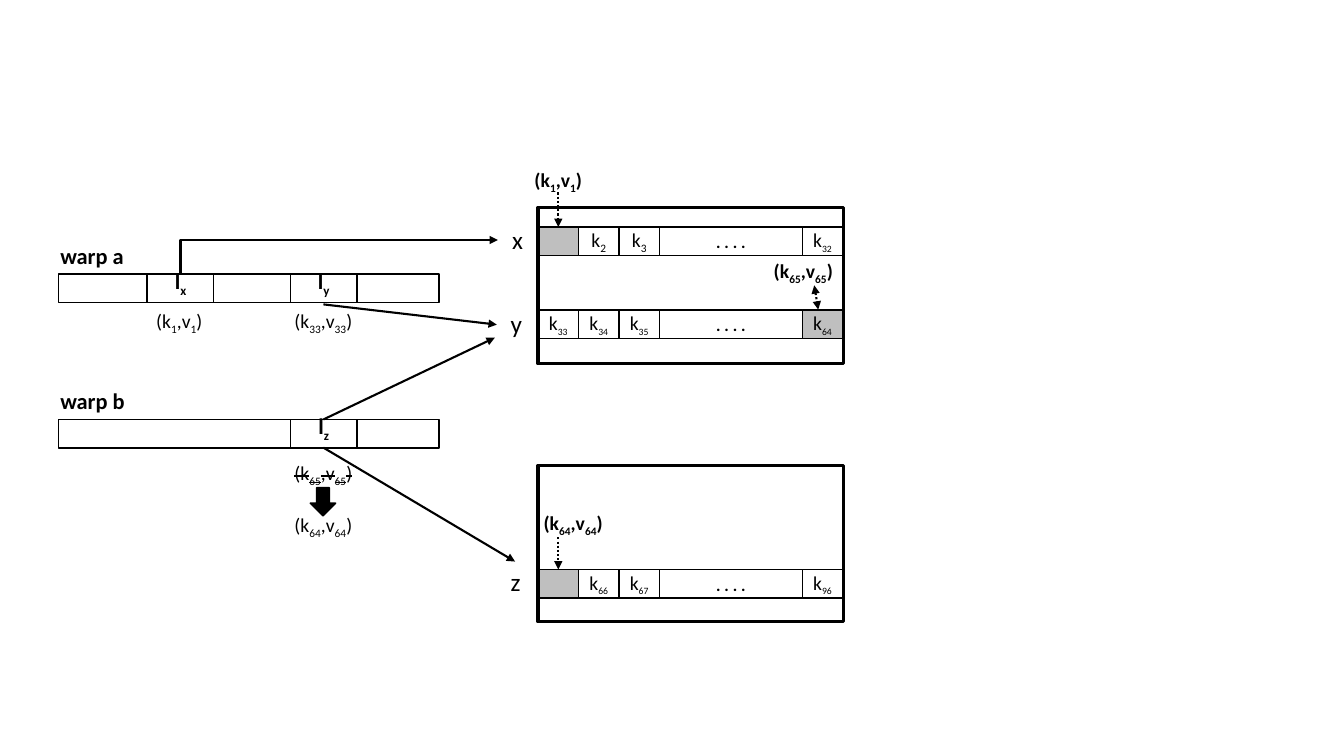
from dataclasses import dataclass

from lxml.etree import SubElement
from pptx import Presentation
from pptx.dml.color import RGBColor
from pptx.enum.dml import MSO_LINE
from pptx.enum.shapes import MSO_CONNECTOR, MSO_SHAPE
from pptx.enum.text import MSO_ANCHOR, PP_ALIGN
from pptx.oxml.ns import qn
from pptx.util import Cm, Pt


@dataclass(frozen=True)
class Theme:
    font: str = "Calibri"
    ink: RGBColor = RGBColor(0x00, 0x00, 0x00)
    paper: RGBColor = RGBColor(0xFF, 0xFF, 0xFF)
    marked: RGBColor = RGBColor(0xBF, 0xBF, 0xBF)
    index: int = 12
    key: int = 14
    lane: int = 16
    address: int = 18
    thin: float = 1
    arrow: float = 1.5
    frame: float = 2.25


def write(frame, theme, text, *, size=14, sub_size=None, bold=False, strike=False,
          align=PP_ALIGN.CENTER, anchor=MSO_ANCHOR.TOP, wrap=True):
    """Write one line of text; parts between underscores become subscripts."""
    frame.word_wrap = wrap
    frame.vertical_anchor = anchor
    paragraph = frame.paragraphs[0]
    paragraph.alignment = align
    for position, part in enumerate(text.split("_")):
        if not part:
            continue
        is_index = position % 2 == 1
        run = paragraph.add_run()
        run.text = part
        run.font.name = theme.font
        run.font.size = Pt(sub_size if is_index and sub_size else size)
        run.font.bold = bold
        run.font.color.rgb = theme.ink
        properties = run._r.get_or_add_rPr()
        if is_index:
            properties.set("baseline", "-25000")
        if strike:
            properties.set("strike", "sngStrike")


class Diagram:
    ROW = 0.72       # height of every row of cells
    CELL = 1.02      # width of a key cell
    BUCKET = 13.56   # left edge of the buckets
    LAST = 20.22     # left edge of the last key cell
    WARP = 1.47      # left edge of the warps
    LANE = 1.68      # width of a lane

    def __init__(self, slide, theme):
        self.slide, self.theme = slide, theme

    def box(self, x, y, width, height, text="", *, fill=None, line=None,
            kind=MSO_SHAPE.RECTANGLE, **style):
        shape = self.slide.shapes.add_shape(kind, Cm(x), Cm(y), Cm(width), Cm(height))
        shape.shadow.inherit = False
        if fill is None:
            shape.fill.background()
        else:
            shape.fill.solid()
            shape.fill.fore_color.rgb = fill
        if line is None:
            shape.line.fill.background()
        else:
            shape.line.color.rgb = self.theme.ink
            shape.line.width = Pt(line)
        if text:
            shape.text_frame.margin_left = shape.text_frame.margin_right = 0
            write(shape.text_frame, self.theme, text, wrap=False, **style)

    def label(self, x, y, width, height, text, **style):
        box = self.slide.shapes.add_textbox(Cm(x), Cm(y), Cm(width), Cm(height))
        write(box.text_frame, self.theme, text, **style)

    def pair(self, x, y, text, **style):
        self.box(x, y, 2.08, self.ROW, text, fill=self.theme.paper,
                 size=self.theme.key, **style)

    def key_row(self, y, indices, marked):
        theme = self.theme
        lefts = [self.BUCKET + self.CELL * i for i in range(3)] + [self.LAST]
        for column, (left, index) in enumerate(zip(lefts, indices)):
            self.box(left, y, self.CELL, self.ROW, f"k_{index}_" if index else "",
                     fill=theme.marked if column == marked else theme.paper,
                     line=theme.thin, size=theme.key, anchor=MSO_ANCHOR.MIDDLE,
                     sub_size=theme.index if len(index) > 1 else theme.key)
        gap = self.BUCKET + 3 * self.CELL
        self.box(gap, y, self.LAST - gap, self.ROW, ". . . .", fill=theme.paper,
                 line=theme.thin, size=theme.index, bold=True)

    def bucket(self, y):
        self.box(self.BUCKET, y, 7.7, 3.94, line=self.theme.frame)

    def warp(self, y, name, lanes):
        theme = self.theme
        for left, index in lanes:
            self.box(left, y, self.LANE, self.ROW, f"l_{index}_", fill=theme.paper,
                     line=theme.thin, size=theme.lane, bold=True,
                     anchor=MSO_ANCHOR.BOTTOM)
        self.box(self.WARP, y, 9.6, self.ROW, line=theme.thin)
        self.label(self.WARP - 0.2, y - 0.93, 3.1, 0.94, name, size=theme.lane,
                   bold=True, align=PP_ALIGN.LEFT)

    def arrow(self, start, end, *, dotted=False, both=False, kind=MSO_CONNECTOR.STRAIGHT):
        connector = self.slide.shapes.add_connector(
            kind, *(Cm(value) for value in (*start, *end)))
        connector.line.color.rgb = self.theme.ink
        connector.line.width = Pt(self.theme.arrow)
        if dotted:
            connector.line.dash_style = MSO_LINE.ROUND_DOT
        outline = connector.line._get_or_add_ln()
        for tag in (["a:headEnd"] if both else []) + ["a:tailEnd"]:
            SubElement(outline, qn(tag), type="triangle")
        SubElement(connector._element.spPr, qn("a:effectLst"))
        return connector

    def corner_arrow(self, start, end):
        """Go straight up from start, then right to end: a turned one-bend connector."""
        center_x, center_y = (start[0] + end[0]) / 2, (start[1] + end[1]) / 2
        half_run, half_rise = (end[0] - start[0]) / 2, (start[1] - end[1]) / 2
        connector = self.arrow((center_x + half_rise, center_y + half_run),
                               (center_x - half_rise, center_y - half_run),
                               kind=MSO_CONNECTOR.ELBOW)
        properties = connector._element.spPr
        properties.find(qn("a:xfrm")).set("rot", "5400000")
        properties.find(qn("a:prstGeom")).set("prst", "bentConnector2")


def main():
    presentation = Presentation()
    presentation.slide_width, presentation.slide_height = Cm(33.87), Cm(19.05)
    theme = Theme()
    diagram = Diagram(presentation.slides.add_slide(presentation.slide_layouts[6]), theme)

    # Buckets with their key rows
    diagram.key_row(5.72, ["", "2", "3", "32"], marked=0)
    diagram.key_row(7.81, ["33", "34", "35", "64"], marked=3)
    diagram.key_row(14.35, ["", "66", "67", "96"], marked=0)
    for bucket_top in (5.23, 11.73):
        diagram.bucket(bucket_top)

    # Warps with their lanes
    diagram.warp(6.91, "warp a", [(3.71, "x"), (7.32, "y")])
    diagram.warp(10.57, "warp b", [(7.32, "z")])

    # Key-value pairs
    diagram.pair(3.48, 7.67, "(k_1_,v_1_)")
    diagram.pair(7.11, 7.67, "(k_33_,v_33_)")
    diagram.pair(7.11, 11.48, "(k_65_,v_65_)", strike=True)
    diagram.pair(7.11, 12.8, "(k_64_,v_64_)")
    diagram.pair(13.03, 4.11, "(k_1_,v_1_)", bold=True)
    diagram.label(19.25, 6.4, 2.41, 0.48, "(k_65_,v_65_)", size=theme.key, bold=True,
                  align=PP_ALIGN.LEFT)
    diagram.label(12.7, 12.75, 2.74, 0.74, "(k_64_,v_64_)", size=theme.key, bold=True,
                  align=PP_ALIGN.RIGHT)

    # Row addresses
    for address, left, top in (("x", 12.55, 5.54), ("y", 12.52, 7.65), ("z", 12.5, 14.15)):
        diagram.label(left, top, 0.99, 1.02, address, size=theme.address)

    # Arrows from lanes to rows
    diagram.corner_arrow((4.55, 6.91), (12.55, 6.05))
    diagram.arrow((8.15, 7.67), (12.52, 8.18))
    diagram.arrow((8.15, 10.57), (12.47, 8.51))
    diagram.arrow((8.15, 11.28), (12.98, 14.15))

    # Insertions and the exchange
    diagram.arrow((14.07, 4.85), (14.07, 5.72), dotted=True)
    diagram.arrow((20.52, 7.19), (20.62, 7.8), dotted=True, both=True)
    diagram.arrow((14.07, 13.54), (14.07, 14.35), dotted=True)
    diagram.box(7.82, 12.29, 0.64, 0.71, fill=theme.ink, line=theme.thin,
                kind=MSO_SHAPE.DOWN_ARROW)

    presentation.save("out.pptx")


if __name__ == "__main__":
    main()
